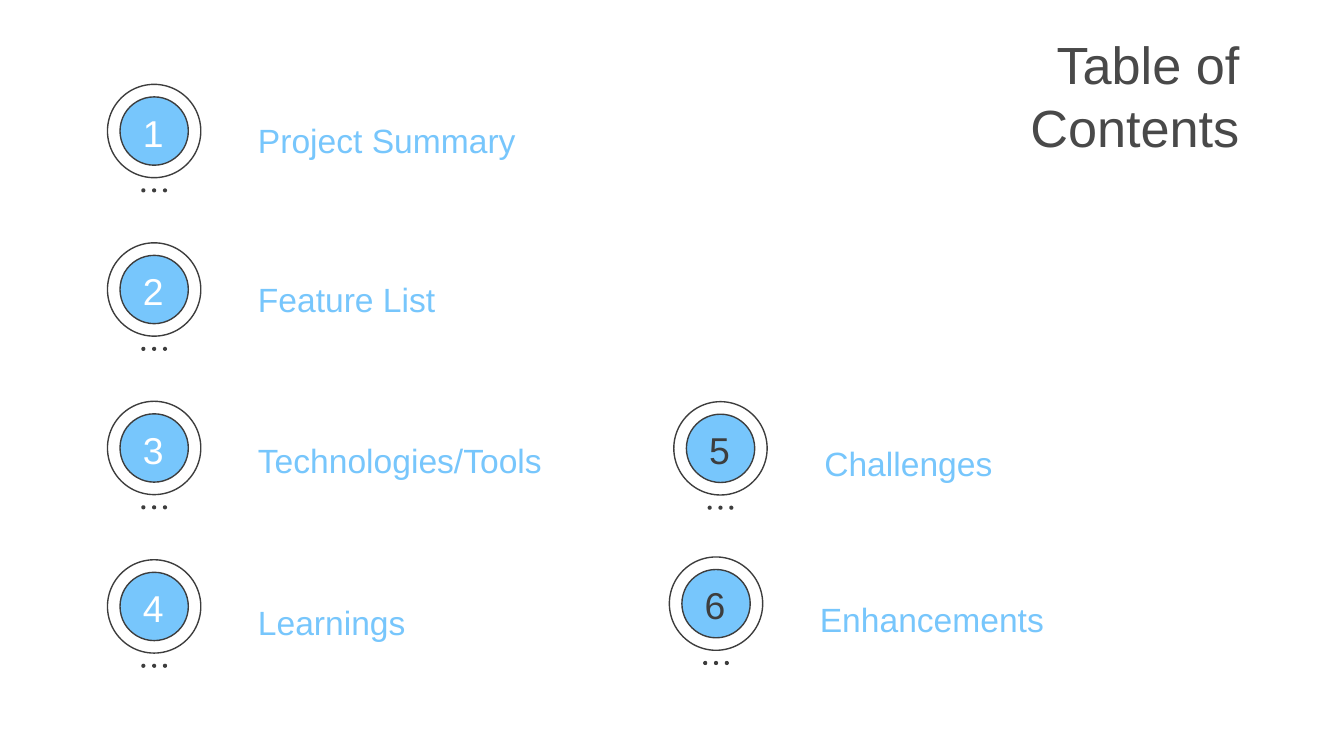
from pptx import Presentation
from pptx.dml.color import RGBColor
from pptx.enum import shapes, text
from pptx.util import Pt

COLOURS = {"sky": "77C6FC", "ink": "3D3D3D", "title": "494949", "white": "FFFFFF"}
FONT = "Arial"
LEFT, TOP, ROW_STEP = 57.6, 45.2, 84.9

# label, badge left, badge top, label top, number colour
LEFT_COLUMN = [
    (label, LEFT, TOP + row * ROW_STEP, label_top, "white")
    for row, (label, label_top) in enumerate([
        ("Project Summary", 54), ("Feature List", 139),
        ("Technologies/Tools", 225.4), ("Learnings", 311.8)])
]
RIGHT_COLUMN = [
    ("Challenges", 361, 215.2, 226.8, "ink"),
    ("Enhancements", 358.6, 298.4, 310.3, "ink"),
]


class ContentsPage:
    def __init__(self, deck):
        self.page = deck.slides.add_slide(deck.slide_layouts[5])

    def colour(self, name):
        return RGBColor.from_string(COLOURS[name])

    def fill_text(self, box, words, size, colour, align, anchor, spacing=None):
        frame = box.text_frame
        frame.word_wrap = True
        frame.auto_size = text.MSO_AUTO_SIZE.NONE
        frame.vertical_anchor = anchor
        frame.margin_left = frame.margin_right = Pt(7.2)
        frame.margin_top = frame.margin_bottom = Pt(7.2)
        para = frame.paragraphs[0]
        para.alignment = align
        if spacing:
            para.line_spacing = spacing
        span = para.add_run()
        span.text = words
        span.font.name = FONT
        span.font.size = Pt(size)
        span.font.color.rgb = self.colour(colour)

    def title(self, words, left, top, width, height):
        box = self.page.shapes.title
        box.left, box.top, box.width, box.height = map(Pt, (left, top, width, height))
        self.fill_text(box, words, 28, "title", text.PP_ALIGN.RIGHT, text.MSO_ANCHOR.MIDDLE)

    def circle(self, group, left, top, size, fill, line=None):
        circle = group.shapes.add_shape(
            shapes.MSO_SHAPE.OVAL, Pt(left), Pt(top), Pt(size), Pt(size))
        circle.shadow.inherit = False
        circle.fill.solid()
        circle.fill.fore_color.rgb = self.colour(fill)
        if line:
            circle.line.color.rgb = self.colour(line)
            circle.line.width = Pt(0.75)
        else:
            circle.line.fill.background()

    def badge(self, left, top):
        """Ring, filled disc and three dots below, as one group."""
        group = self.page.shapes.add_group_shape()
        self.circle(group, left, top, 50, "white", "ink")
        self.circle(group, left + 6.7, top + 6.7, 36.6, "sky", "ink")
        for dot in range(3):
            self.circle(group, left + 18.1 + dot * 5.8, top + 55.7, 2.2, "ink")

    def number(self, words, left, top, colour):
        box = self.page.shapes.add_textbox(Pt(left), Pt(top), Pt(36), Pt(27.4))
        self.fill_text(box, words, 20, colour, text.PP_ALIGN.CENTER, text.MSO_ANCHOR.MIDDLE)

    def label(self, words, left, top):
        box = self.page.shapes.add_textbox(Pt(left), Pt(top), Pt(206), Pt(30.2))
        self.fill_text(box, words, 18, "sky", text.PP_ALIGN.LEFT, text.MSO_ANCHOR.TOP, 1.15)

    def entry(self, number, label, left, top, label_top, colour):
        self.badge(left, top)
        self.number(str(number), left + 6.5, top + 11.9, colour)
        self.label(label, left + 73.5, label_top)


def main():
    deck = Presentation()
    deck.slide_width, deck.slide_height = Pt(720), Pt(405)
    contents = ContentsPage(deck)
    contents.title("Table of Contents", 465.1, 28.1, 206, 45.4)
    for number, entry in enumerate(LEFT_COLUMN + RIGHT_COLUMN, start=1):
        contents.entry(number, *entry)
    deck.save("out.pptx")


if __name__ == "__main__":
    main()
